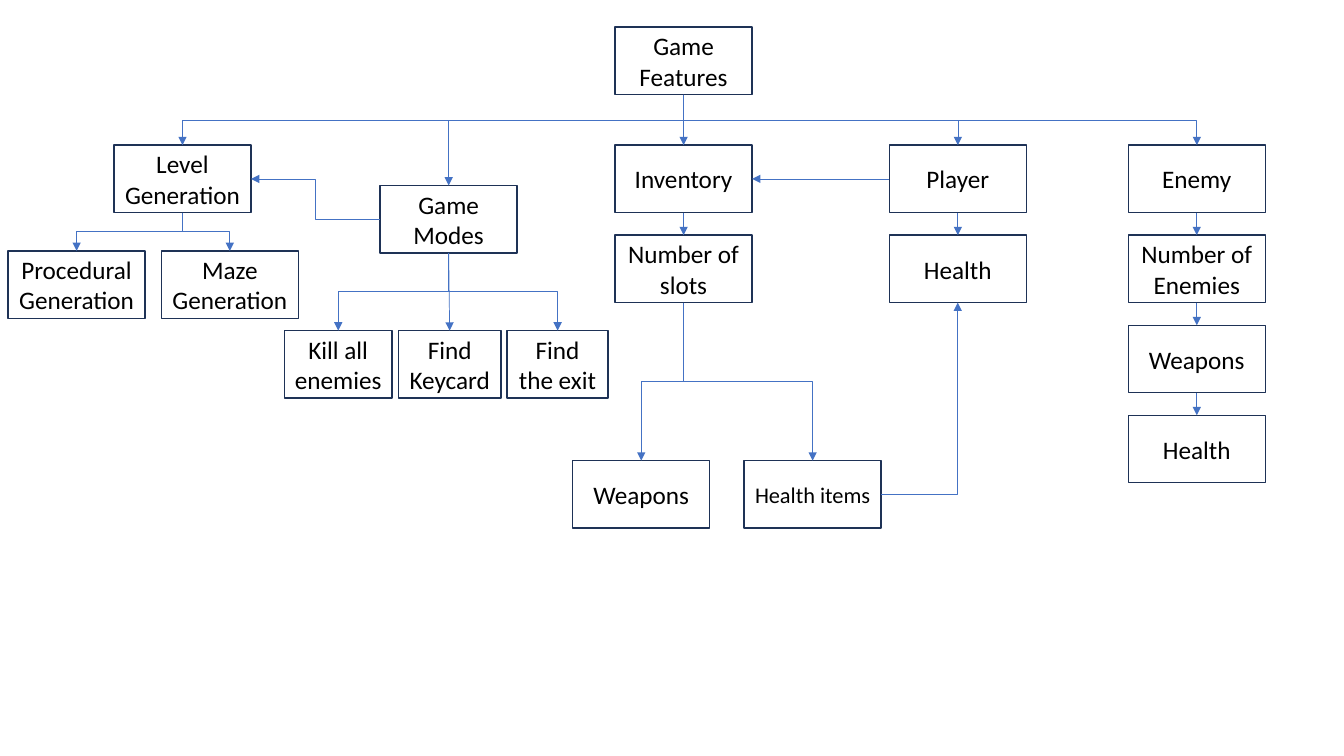
from dataclasses import dataclass

from pptx import Presentation
from pptx.dml.color import RGBColor
from pptx.enum import shapes, text
from pptx.oxml import ns, xmlchemy
from pptx.util import Inches, Pt


@dataclass(frozen=True)
class Theme:
    """Colours, font and sizes used on the slide."""
    font: str = "Calibri"
    size: int = 18
    small: int = 16
    ink: str = "000000"
    fill: str = "FFFFFF"
    border: str = "1E3256"
    arrow: str = "4472C4"
    border_pt: float = 1
    arrow_pt: float = 0.5


T = Theme()
BOX_W, BOX_H = 1.36, 0.67
ROW = 2.68 / 3  # pitch of the stacked boxes
TOP, LEFT, BOTTOM, RIGHT = range(4)  # connection sites of a rectangle
STRAIGHT = shapes.MSO_CONNECTOR.STRAIGHT
ELBOW = shapes.MSO_CONNECTOR.ELBOW


def write(sp, words, size=T.size, color=T.ink, align=text.PP_ALIGN.CENTER):
    """Put formatted text in a shape."""
    tf = sp.text_frame
    tf.word_wrap = True
    tf.vertical_anchor = text.MSO_ANCHOR.MIDDLE
    p = tf.paragraphs[0]
    p.alignment = align
    r = p.add_run()
    r.text = words
    r.font.name, r.font.size = T.font, Pt(size)
    r.font.color.rgb = RGBColor.from_string(color)


def box(s, words, x, y, w=BOX_W, **fmt):
    """Draw one labelled box of the chart."""
    sp = s.shapes.add_shape(shapes.MSO_SHAPE.RECTANGLE,
                            Inches(x), Inches(y), Inches(w), Inches(BOX_H))
    sp.shadow.inherit = False
    sp.fill.solid()
    sp.fill.fore_color.rgb = RGBColor.from_string(T.fill)
    sp.line.color.rgb = RGBColor.from_string(T.border)
    sp.line.width = Pt(T.border_pt)
    write(sp, words, **fmt)
    return sp


def arrow(s, start, site, end, end_site, kind=STRAIGHT):
    """Join two boxes with an arrow glued to their connection sites."""
    c = s.shapes.add_connector(kind, 0, 0, 0, 0)
    c.begin_connect(start, site)
    c.end_connect(end, end_site)
    c.line.color.rgb = RGBColor.from_string(T.arrow)
    c.line.width = Pt(T.arrow_pt)
    tail = xmlchemy.OxmlElement("a:tailEnd")
    tail.set("type", "triangle")
    c.line._get_or_add_ln().append(tail)
    c._element.spPr.append(xmlchemy.OxmlElement("a:effectLst"))
    return c


def drop(s, parent, child, bar=None):
    """Arrow from a parent down to a child, turning bar inches below the parent."""
    x1, y1 = parent.left + parent.width // 2, parent.top + parent.height
    x2, y2 = child.left + child.width // 2, child.top
    if abs(x2 - x1) < Inches(0.02):
        return arrow(s, parent, BOTTOM, child, TOP)
    c = arrow(s, parent, BOTTOM, child, TOP, ELBOW)
    # An elbow leaves sideways, so it is laid flat and turned a quarter.
    side = 1 if x2 > x1 else -1
    mid_x, mid_y = (x1 + x2) // 2, (y1 + y2) // 2
    half_w, half_h = (y2 - y1) // 2, abs(x2 - x1) // 2
    c.begin_x, c.end_x = mid_x + side * half_w, mid_x - side * half_w
    c.begin_y, c.end_y = mid_y - half_h, mid_y + half_h
    spPr = c._element.spPr
    spPr.find(ns.qn("a:xfrm")).set("rot", str((180 + side * 90) * 60000))
    if bar:
        gd = xmlchemy.OxmlElement("a:gd")
        gd.set("name", "adj1")
        gd.set("fmla", f"val {round(100000 * Inches(bar) / (y2 - y1))}")
        spPr.find(ns.qn("a:prstGeom")).get_or_add_avLst().append(gd)
    return c


def stack(s, words, x, y):
    """Column of boxes, each pointing to the next; returns the boxes."""
    boxes = [box(s, label, x, y + i * ROW) for i, label in enumerate(words)]
    for upper, lower in zip(boxes, boxes[1:]):
        drop(s, upper, lower)
    return boxes


def level_branch(s, x, y):
    """Level generation with its two kinds; returns the head box."""
    head = box(s, "Level Generation", x + 1.05, y)
    for i, kind in enumerate(("Procedural", "Maze")):
        drop(s, head, box(s, f"{kind} Generation", x + i * 1.52, y + 1.05))
    return head


def modes_branch(s, x, y):
    """Game modes with the three goals; returns the head box."""
    head = box(s, "Game Modes", x + 0.95, y)
    left, gap = x, 0.06
    for words, w in (("Kill all enemies", 1.07), ("Find Keycard", 1.02),
                     ("Find the exit", 1)):
        drop(s, head, box(s, words, left, y + 1.44, w))
        left += w + gap
    return head


def inventory_branch(s, x, y):
    """Inventory, its slots and items; returns the head and health items."""
    head, slots = stack(s, ("Inventory", "Number of slots"), x + 0.42, y)
    weapons = box(s, "Weapons", x, y + 3.13)
    items = box(s, "Health items", x + 1.7, y + 3.13, size=T.small)
    for item in (weapons, items):
        drop(s, slots, item)
    return head, items


def feature_tree(s, x, y):
    """The whole chart, from the root down to all branches."""
    root = box(s, "Game Features", x + 6.02, y)
    row = y + 1.17
    level = level_branch(s, x, row)
    modes = modes_branch(s, x + 2.74, row + 0.4)
    inventory, items = inventory_branch(s, x + 5.6, row)
    player, health = stack(s, ("Player", "Health"), x + 8.74, row)
    enemy = stack(s, ("Enemy", "Number of Enemies", "Weapons", "Health"),
                  x + 11.11, row)[0]
    for head in (level, modes, inventory, player, enemy):
        drop(s, root, head, bar=0.25)
    arrow(s, player, LEFT, inventory, RIGHT)
    arrow(s, modes, LEFT, level, RIGHT, ELBOW)
    corner = arrow(s, items, RIGHT, health, BOTTOM, ELBOW)
    corner._element.spPr.find(ns.qn("a:prstGeom")).set("prst", "bentConnector2")


prs = Presentation()
prs.slide_width, prs.slide_height = Inches(13.33), Inches(7.5)
feature_tree(prs.slides.add_slide(prs.slide_layouts[6]), 0.08, 0.27)
prs.save("out.pptx")
